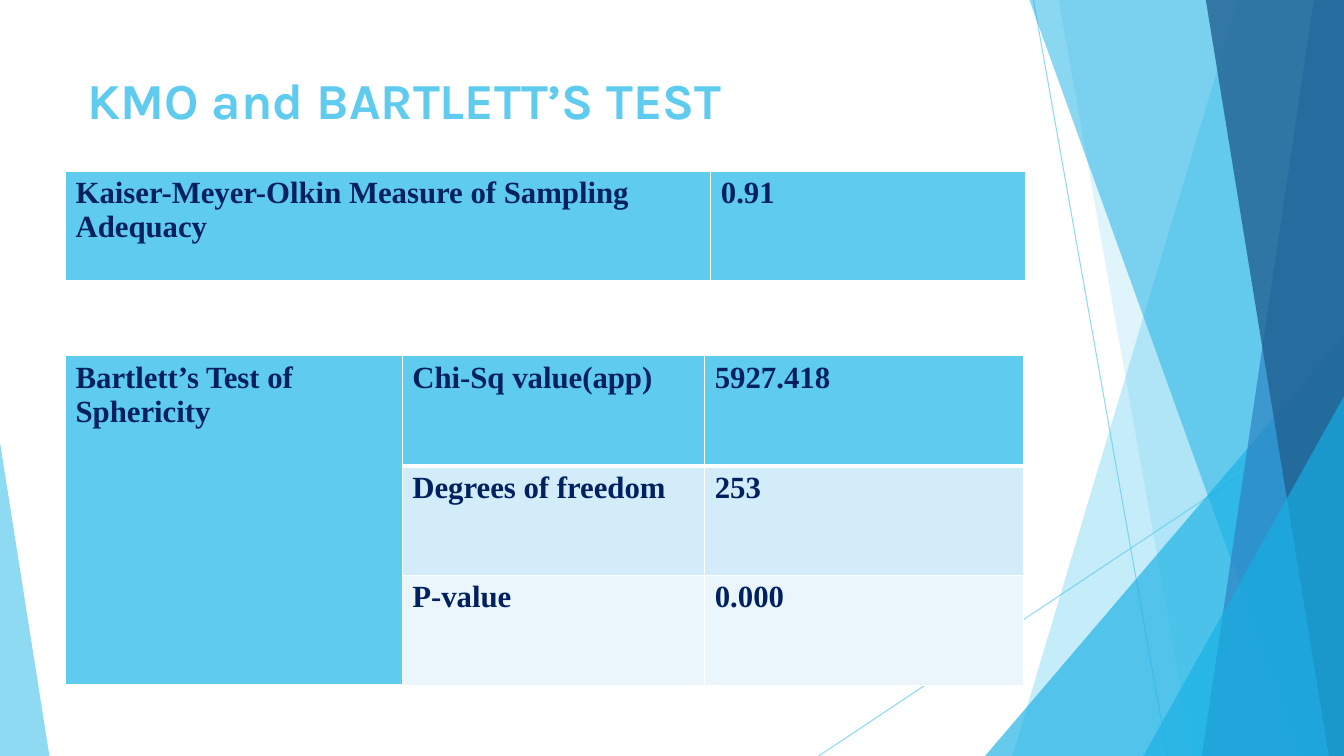
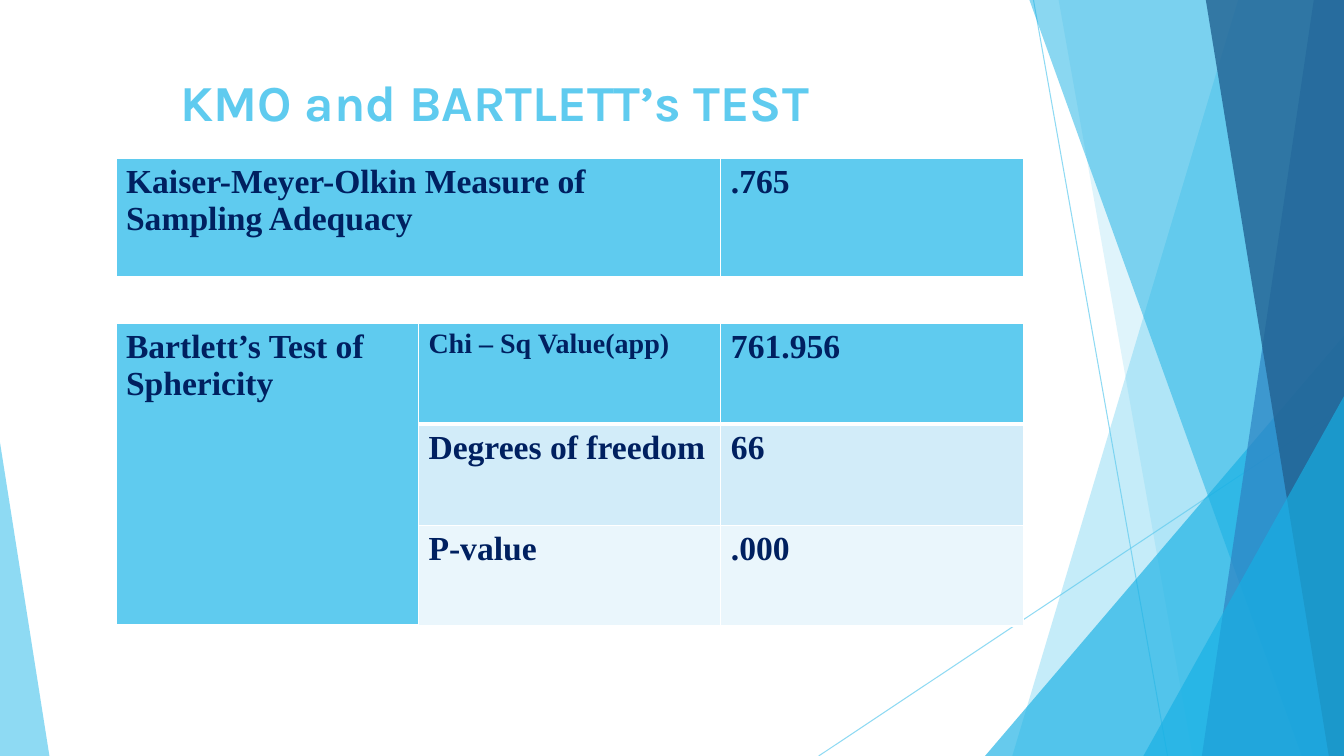
import pptx
import pptx.dml.color
import pptx.enum.shapes
import pptx.enum.text
import pptx.oxml
import pptx.oxml.ns
import pptx.util
from pptx.util import Inches

RGBColor = pptx.dml.color.RGBColor
SKY = RGBColor(0x5F, 0xCB, 0xEF)
CYAN = RGBColor(0x17, 0xB0, 0xE4)
BLUE = RGBColor(0x2E, 0x83, 0xC3)
DEEP_BLUE = RGBColor(0x22, 0x62, 0x92)
NAVY = RGBColor(0x00, 0x20, 0x60)
PALE = RGBColor(0xD2, 0xEC, 0xF9)
PALEST = RGBColor(0xEA, 0xF6, 0xFC)
WHITE = RGBColor(0xFF, 0xFF, 0xFF)

WIDTH, HEIGHT = 13.33, 7.5
ROW_FILLS = (SKY, PALE, PALEST)


class Deck:
    """Holds the shared style and the current slide."""

    title_font, table_font = "Karla", "Times New Roman"

    def __init__(self):
        self.presentation = pptx.Presentation()
        self.presentation.slide_width = Inches(WIDTH)
        self.presentation.slide_height = Inches(HEIGHT)
        self.layout = self.presentation.slide_layouts[5]
        self.slide = None

    def add_slide(self):
        self.slide = self.presentation.slides.add_slide(self.layout)

    def set_opacity(self, shape, percent):
        for color in shape._element.xpath("./p:spPr//a:srgbClr"):
            alpha = pptx.oxml.parse_xml(
                f'<a:alpha {pptx.oxml.ns.nsdecls("a")} val="{percent * 1000}"/>')
            color.append(alpha)

    def finish_facet(self, shape, color, opacity):
        shape.shadow.inherit = False
        shape.fill.solid()
        shape.fill.fore_color.rgb = color
        shape.line.fill.background()
        self.set_opacity(shape, opacity)

    def line(self, start, end):
        connector = self.slide.shapes.add_connector(
            pptx.enum.shapes.MSO_CONNECTOR.STRAIGHT,
            *(Inches(value) for value in start + end))
        connector.line.color.rgb = SKY
        connector.line.width = pptx.util.Pt(0.75)
        self.set_opacity(connector, 70)
        connector._element.spPr.append(
            pptx.oxml.parse_xml(f'<a:effectLst {pptx.oxml.ns.nsdecls("a")}/>'))

    def facet(self, top_left, bottom_left, color, opacity):
        """Full-height facet that reaches the right edge of the slide."""
        points = [(Inches(x), Inches(y)) for x, y in (
            (top_left, 0), (WIDTH, 0), (WIDTH, HEIGHT), (bottom_left, HEIGHT))]
        builder = self.slide.shapes.build_freeform(*points[0])
        builder.add_line_segments(points[1:])
        self.finish_facet(builder.convert_to_shape(), color, opacity)

    def triangle(self, left, top, width, apex, color, opacity):
        """Triangle that stands on the bottom edge of the slide."""
        shape = self.slide.shapes.add_shape(
            pptx.enum.shapes.MSO_SHAPE.ISOSCELES_TRIANGLE, Inches(left),
            Inches(top), Inches(width), Inches(HEIGHT - top))
        shape.adjustments[0] = apex
        self.finish_facet(shape, color, opacity)

    def move_to_layout(self):
        """Hand the drawn shapes to the layout, behind its placeholders."""
        tree = self.layout.shapes._spTree
        drawn = [shape for shape in self.slide.shapes if not shape.is_placeholder]
        for index, shape in enumerate(drawn):
            shape._element.xpath("./*/p:cNvPr")[0].set("id", str(100 + index))
            tree.insert(2 + index, shape._element)

    def title(self, text, top, indent):
        title = self.slide.shapes.title
        title.left, title.top = Inches(0.65), Inches(top)
        title.width, title.height = Inches(9.5), Inches(1.47)
        frame = title.text_frame
        frame.text = text
        frame.word_wrap = True
        frame.vertical_anchor = pptx.enum.text.MSO_ANCHOR.TOP
        frame.margin_left = Inches(indent)
        paragraph = frame.paragraphs[0]
        paragraph.alignment = pptx.enum.text.PP_ALIGN.LEFT
        paragraph.font.name = self.title_font
        paragraph.font.size = pptx.util.Pt(36)
        paragraph.font.bold = True
        paragraph.font.color.rgb = SKY

    def cell_borders(self, cell, top, bottom):
        properties = cell._tc.get_or_add_tcPr()
        for side, points in (("L", 1), ("R", 1), ("T", top), ("B", bottom)):
            properties.append(pptx.oxml.parse_xml(
                f'<a:ln{side} {pptx.oxml.ns.nsdecls("a")} w="{points * 12700}">'
                f'<a:solidFill><a:srgbClr val="{WHITE}"/></a:solidFill></a:ln{side}>'))

    def table(self, left, top, column_widths, row_height, rows, size):
        frame = self.slide.shapes.add_table(
            len(rows), len(column_widths), Inches(left), Inches(top),
            Inches(sum(column_widths)), Inches(row_height * len(rows)))
        table = frame.table
        table.first_row = table.horz_banding = False
        for column, width in zip(table.columns, column_widths):
            column.width = Inches(width)
        for row_index, row in enumerate(rows):
            for column_index, text in enumerate(row):
                cell = table.cell(row_index, column_index)
                self.cell_borders(cell, 3 if row_index == 1 else 1,
                                  3 if row_index == 0 else 1)
                cell.fill.solid()
                cell.fill.fore_color.rgb = ROW_FILLS[row_index]
                cell.text = text
                font = cell.text_frame.paragraphs[0].font
                font.name = self.table_font
                font.size = pptx.util.Pt(size)
                font.bold = True
                font.color.rgb = NAVY
        if len(rows) > 1:
            table.cell(0, 0).merge(table.cell(len(rows) - 1, 0))
        return table


def draw_backdrop(deck):
    deck.line((10.25, 0), (11.58, HEIGHT))
    deck.line((WIDTH, 4.03), (8.12, HEIGHT))
    deck.facet(12.28, 10.04, SKY, 36)
    deck.facet(10.5, 11.83, SKY, 20)
    deck.triangle(9.77, 3.33, 3.56, 1, CYAN, 66)
    deck.facet(10.21, 12.91, CYAN, 50)
    deck.facet(13.03, 11.92, BLUE, 70)
    deck.facet(11.96, 13.18, DEEP_BLUE, 80)
    deck.triangle(11.34, 3.93, 1.99, 1, CYAN, 66)
    deck.triangle(0, 4.39, 0.49, 0, SKY, 70)
    deck.move_to_layout()


def main():
    deck = Deck()

    # First test: sampling adequacy above, sphericity below
    deck.add_slide()
    draw_backdrop(deck)
    deck.title("KMO and BARTLETT’S TEST", 0.64, 0.22)
    deck.table(0.65, 3.53, (3.34, 3, 3.16), 1.09, (
        ("Bartlett’s Test of Sphericity", "Chi-Sq value(app)", "5927.418"),
        ("", "Degrees of freedom", "253"),
        ("", "P-value", "0.000")), 22)
    deck.table(0.65, 1.7, (6.4, 3.12), 1.1, (
        ("Kaiser-Meyer-Olkin Measure of Sampling Adequacy", "0.91"),), 22)

    # Second test
    deck.add_slide()
    deck.title("KMO and BARTLETT’s TEST", 0.66, 1.14)
    sphericity = deck.table(1.15, 3.21, (3, 3, 3), 1, (
        ("Bartlett’s Test of Sphericity", "Chi – Sq Value(app)", "761.956"),
        ("", "Degrees of freedom", "66"),
        ("", "P-value", ".000")), 24)
    sphericity.cell(0, 1).text_frame.paragraphs[0].font.size = pptx.util.Pt(20)
    deck.table(1.15, 1.57, (6, 3), 1.19, (
        ("Kaiser-Meyer-Olkin Measure of Sampling Adequacy", ".765"),), 24)

    deck.presentation.save("out.pptx")


if __name__ == "__main__":
    main()
